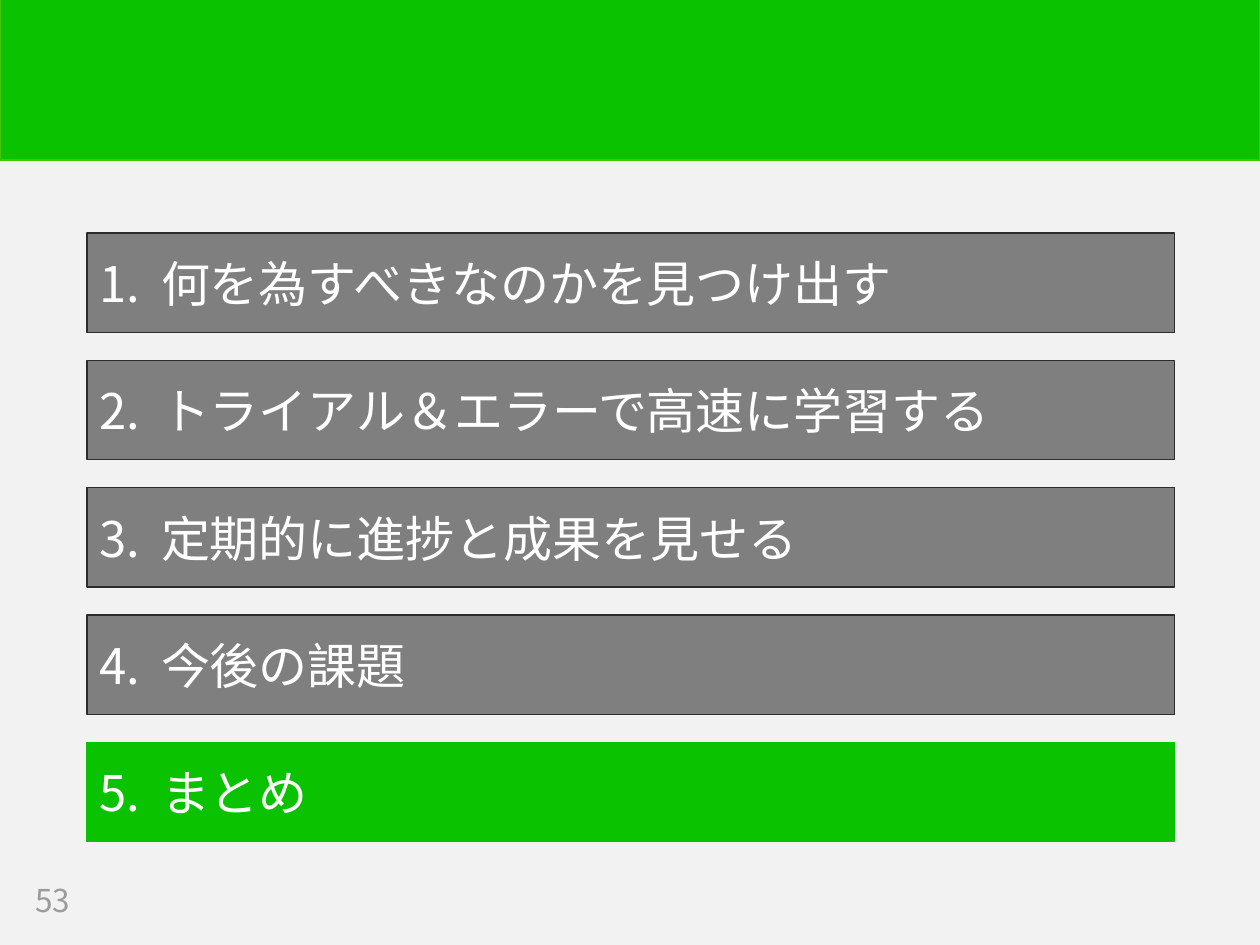
from dataclasses import dataclass

from lxml import etree
from pptx import Presentation
from pptx.dml.color import RGBColor
from pptx.enum.shapes import MSO_SHAPE
from pptx.enum.text import MSO_ANCHOR, PP_ALIGN
from pptx.oxml.ns import qn
from pptx.util import Inches, Pt

RECTANGLE = MSO_SHAPE.RECTANGLE
MIDDLE = MSO_ANCHOR.MIDDLE
LEFT = PP_ALIGN.LEFT


@dataclass(frozen=True)
class Theme:
    font: str = "Noto Sans CJK JP"
    background: str = "F2F2F2"
    accent: str = "0AC200"
    header_line: str = "44C404"
    muted: str = "7F7F7F"
    muted_line: str = "2C2C2C"
    bar_text: str = "FFFFFF"
    page_text: str = "9B9B9B"
    bar_size: int = 28
    page_size: int = 18


@dataclass(frozen=True)
class Box:
    left: float
    top: float
    width: float
    height: float

    def lengths(self) -> tuple:
        return tuple(map(Inches, (self.left, self.top, self.width, self.height)))


THEME = Theme()
SECTIONS = (
    "何を為すべきなのかを見つけ出す",
    "トライアル＆エラーで高速に学習する",
    "定期的に進捗と成果を見せる",
    "今後の課題",
    "まとめ",
)
CURRENT_SECTION = 5
FIRST_BAR = Box(0.69, 1.85, 8.63, 0.79)
BAR_PITCH = 1.01
NUMBER_WIDTH = 0.49


def add_rectangle(slide, box: Box, fill: str, line: str, line_width: float):
    rectangle = slide.shapes.add_shape(RECTANGLE, *box.lengths())
    rectangle.shadow.inherit = False
    rectangle.fill.solid()
    rectangle.fill.fore_color.rgb = RGBColor.from_string(fill)
    rectangle.line.color.rgb = RGBColor.from_string(line)
    rectangle.line.width = Pt(line_width)
    return rectangle


def add_tab_stop(paragraph, position: float) -> None:
    properties = paragraph._p.get_or_add_pPr()
    tabs = etree.SubElement(properties, qn("a:tabLst"))
    etree.SubElement(tabs, qn("a:tab"), pos=str(Inches(position)), algn="l")


def write_line(shape, text: str, size: int, color: str) -> None:
    """Fill a shape with one left-aligned line, set in both Latin and Asian font."""
    frame = shape.text_frame
    frame.text = text
    frame.word_wrap = True
    frame.vertical_anchor = MIDDLE
    paragraph = frame.paragraphs[0]
    paragraph.alignment = LEFT
    for run in paragraph.runs:
        run.font.size = Pt(size)
        run.font.color.rgb = RGBColor.from_string(color)
        run.font.name = THEME.font
        etree.SubElement(run.font._element, qn("a:ea"), typeface=THEME.font)


def add_section_bar(slide, number: int, title: str) -> None:
    box = Box(FIRST_BAR.left, FIRST_BAR.top + (number - 1) * BAR_PITCH,
              FIRST_BAR.width, FIRST_BAR.height)
    if number == CURRENT_SECTION:
        fill, line = THEME.accent, THEME.accent
    else:
        fill, line = THEME.muted, THEME.muted_line
    bar = add_rectangle(slide, box, fill, line, 0.75)
    write_line(bar, f"{number}.\t{title}", THEME.bar_size, THEME.bar_text)
    add_tab_stop(bar.text_frame.paragraphs[0], NUMBER_WIDTH)


def main() -> None:
    presentation = Presentation()
    presentation.slide_width = Inches(10)
    presentation.slide_height = Inches(7.5)
    blank_layout = presentation.slide_layouts[6]
    slide = presentation.slides.add_slide(blank_layout)
    slide.background.fill.solid()
    slide.background.fill.fore_color.rgb = RGBColor.from_string(THEME.background)

    add_rectangle(slide, Box(0, -0.01, 10, 1.28), THEME.accent, THEME.header_line, 1)
    page_number = slide.shapes.add_textbox(*Box(0.18, 6.95, 0.79, 0.39).lengths())
    write_line(page_number, "53", THEME.page_size, THEME.page_text)
    for number, title in enumerate(SECTIONS, start=1):
        add_section_bar(slide, number, title)

    presentation.save("out.pptx")


if __name__ == "__main__":
    main()
